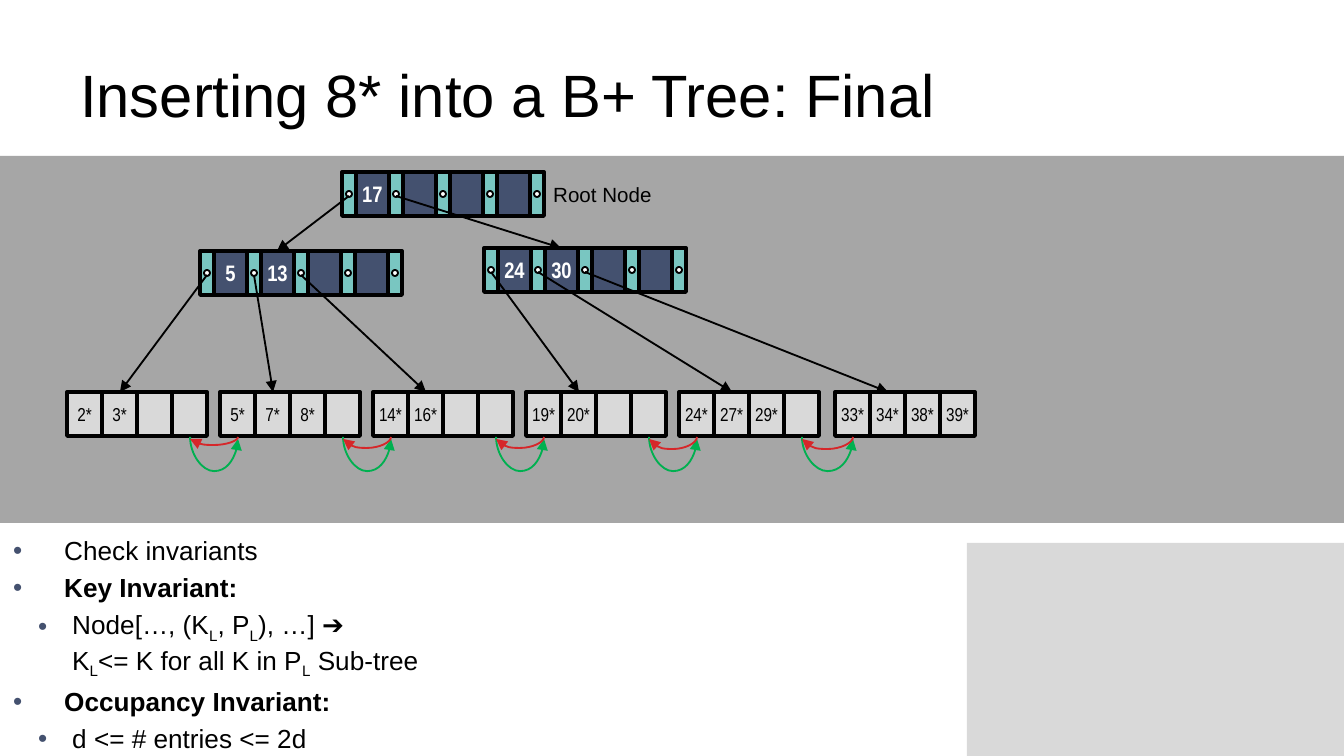
from lxml.etree import SubElement
from pptx import Presentation
from pptx.dml.color import RGBColor
from pptx.enum.shapes import MSO_CONNECTOR, MSO_SHAPE
from pptx.enum.text import MSO_ANCHOR, PP_ALIGN
from pptx.oxml.ns import qn
from pptx.util import Pt

SCALE = 914400 / 134.4  # EMU in one px
HUES = {"ink": "000000", "white": "FFFFFF", "band": "A6A6A6", "pale": "D9D9D9",
        "navy": "44516F", "teal": "79C6C1", "green": "00B050", "red": "D6272A"}

# Content
TITLE = "Inserting 8* into a B+ Tree: Final"
# Index nodes: left, top, keys
NODES = [(342, 172, ["17"]), (200, 251, ["5", "13"]), (484, 248, ["24", "30"])]
# Leaves: left, entries
LEAVES = [(67, ["2*", "3*"]), (220, ["5*", "7*", "8*"]), (373, ["14*", "16*"]),
          (526, ["19*", "20*"]), (679, ["24*", "27*", "29*"]),
          (835, ["33*", "34*", "38*", "39*"])]
SAGS = [8, 11, 11, 12, 12]  # depth of each backward link
# Notes: level, bold, runs
NOTES = [
    (0, False, ["Check invariants"]),
    (0, True, ["Key Invariant:"]),
    (1, False, ["Node[…, (K", "L", ", P", "L", "), …] ➔ ", "\n", "K", "L",
                "<= K for all K in P", "L", " Sub-tree"]),
    (0, True, ["Occupancy Invariant:"]),
    (1, False, ["d <= # entries <= 2d"]),
]
INDENTS = [(51, 51), (59, 34)]  # margin, hang by level

# Sizes in px
SLOTS, TALL = 4, 44
PTR, KEY, STEP, DOT = 14, 33, 47, 6
CELL, LEAF_Y = 35, 392

HEAD = {"size": Pt(32), "name": "Arial"}
BODY = {"size": Pt(14), "name": "Arial"}
LABEL = {"size": Pt(11), "name": "Arial"}
INDEX = {"size": Pt(12), "name": "Arial Narrow", "bold": True}
ENTRY = {"size": Pt(10), "name": "Arial Narrow"}


def px(n):
    return round(n * SCALE)


def rgb(hue):
    return RGBColor.from_string(HUES[hue])


def style(obj, form):
    for name, value in form.items():
        setattr(obj, name, value)


def write(par, text, form, hue="ink"):
    run = par.add_run()
    run.text = text
    style(run.font, form)
    run.font.color.rgb = rgb(hue)
    return run


def shape(home, box, fill, edge=0, kind=MSO_SHAPE.RECTANGLE):
    item = home.add_shape(kind, *map(px, box))
    item.shadow.inherit = False
    item.fill.solid()
    item.fill.fore_color.rgb = rgb(fill)
    if edge:
        item.line.color.rgb = rgb("ink")
        item.line.width = Pt(edge)
    else:
        item.line.fill.background()
    return item


def cell(home, box, fill, text, form, hue):
    item = shape(home, box, fill, 2)
    if text:
        frame = item.text_frame
        style(frame, {"margin_left": 0, "margin_right": 0,
                      "vertical_anchor": MSO_ANCHOR.MIDDLE})
        par = frame.paragraphs[0]
        par.alignment = PP_ALIGN.CENTER
        write(par, text, form, hue)


def textbox(box, form):
    frame = shapes.add_textbox(*map(px, box)).text_frame
    style(frame, form)
    return frame


def arrow(kind, ends, hue="ink"):
    line = shapes.add_connector(kind, *map(px, ends))
    line.line.color.rgb = rgb(hue)
    line.line.width = Pt(1)
    props = line.element.spPr
    SubElement(props.find(qn("a:ln")), qn("a:tailEnd"), type="triangle")
    SubElement(props, qn("a:effectLst"))
    return props


def link(start, end, sag, hue):
    """Hang a curved arrow below the leaves, as a turned S connector."""
    mid, half, y = (start + end) / 2, abs(end - start) / 2, LEAF_Y + TALL + 2
    side = 1 if end > start else -1
    props = arrow(MSO_CONNECTOR.CURVE,
                  (mid + side, y - half, mid - side, y + half), hue)
    props.find(qn("a:xfrm")).set("rot", str((270 if side > 0 else 90) * 60000))
    guides = props.find(qn("a:prstGeom")).find(qn("a:avLst"))
    SubElement(guides, qn("a:gd"), name="adj1", fmla=f"val {sag * 50000}")


deck = Presentation()
deck.slide_width, deck.slide_height = px(1344), px(756)
shapes = deck.slides.add_slide(deck.slide_layouts[6]).shapes

# Backdrop and title
shape(shapes, (967, 543, 377, 213), "pale")
shape(shapes, (0, 156, 1344, 367), "band")
title = textbox((67, 31, 1210, 126),
                {"word_wrap": True, "vertical_anchor": MSO_ANCHOR.MIDDLE})
write(title.paragraphs[0], TITLE, HEAD)

# Invariants
notes = textbox((0, 528, 1474, 484), {"word_wrap": True})
for i, (level, bold, parts) in enumerate(NOTES):
    par = notes.add_paragraph() if i else notes.paragraphs[0]
    par.level = level
    if i:
        par.space_before = Pt(3)
    props = par._p.get_or_add_pPr()
    margin, hang = INDENTS[level]
    props.set("marL", str(px(margin)))
    props.set("indent", str(-px(hang)))
    SubElement(SubElement(props, qn("a:buClr")), qn("a:srgbClr"), val=HUES["navy"])
    SubElement(props, qn("a:buFont"), typeface="Arial")
    SubElement(props, qn("a:buChar"), char="•")
    for part in parts:
        if part == "\n":
            par.add_line_break()
            continue
        run = write(par, part, {**BODY, "bold": bold})
        if part == "L":
            run._r.get_or_add_rPr().set("baseline", "-25000")

# Index nodes: a pointer before each key and one after the last
for left, top, keys in NODES:
    home = shapes.add_group_shape().shapes
    for i in range(SLOTS + 1):
        x = left + i * STEP
        if i < SLOTS:
            text = keys[i] if i < len(keys) else ""
            cell(home, (x + PTR, top, KEY, TALL), "navy", text, INDEX, "white")
        shape(home, (x, top, PTR, TALL), "teal", 2)
        shape(home, (x + 4, top + 19, DOT, DOT), "white", 1, MSO_SHAPE.OVAL)

# Leaves
for left, items in LEAVES:
    home = shapes.add_group_shape().shapes
    for i in range(SLOTS):
        text = items[i] if i < len(items) else ""
        cell(home, (left + i * CELL, LEAF_Y, CELL, TALL), "pale", text, ENTRY, "ink")

# Pointers to children, in tree order
kids = [(x + 77, y) for x, y, _ in NODES[1:]] + [(x + 53, LEAF_Y) for x, _ in LEAVES]
slots = [(x + i * STEP + PTR / 2, y + 24)
         for x, y, keys in NODES for i in range(len(keys) + 1)]
for start, end in zip(slots, kids):
    arrow(MSO_CONNECTOR.STRAIGHT, start + end)

# Sibling links
for (left, _), (right, _), sag in zip(LEAVES, LEAVES[1:], SAGS):
    tail, head = left + 123, right + 18
    link(tail, head, 34, "green")
    link(head, tail, sag, "red")

# Root label
label = textbox((540, 175, 128, 39), {"word_wrap": False})
write(label.paragraphs[0], "Root Node", LABEL)

deck.save("out.pptx")
